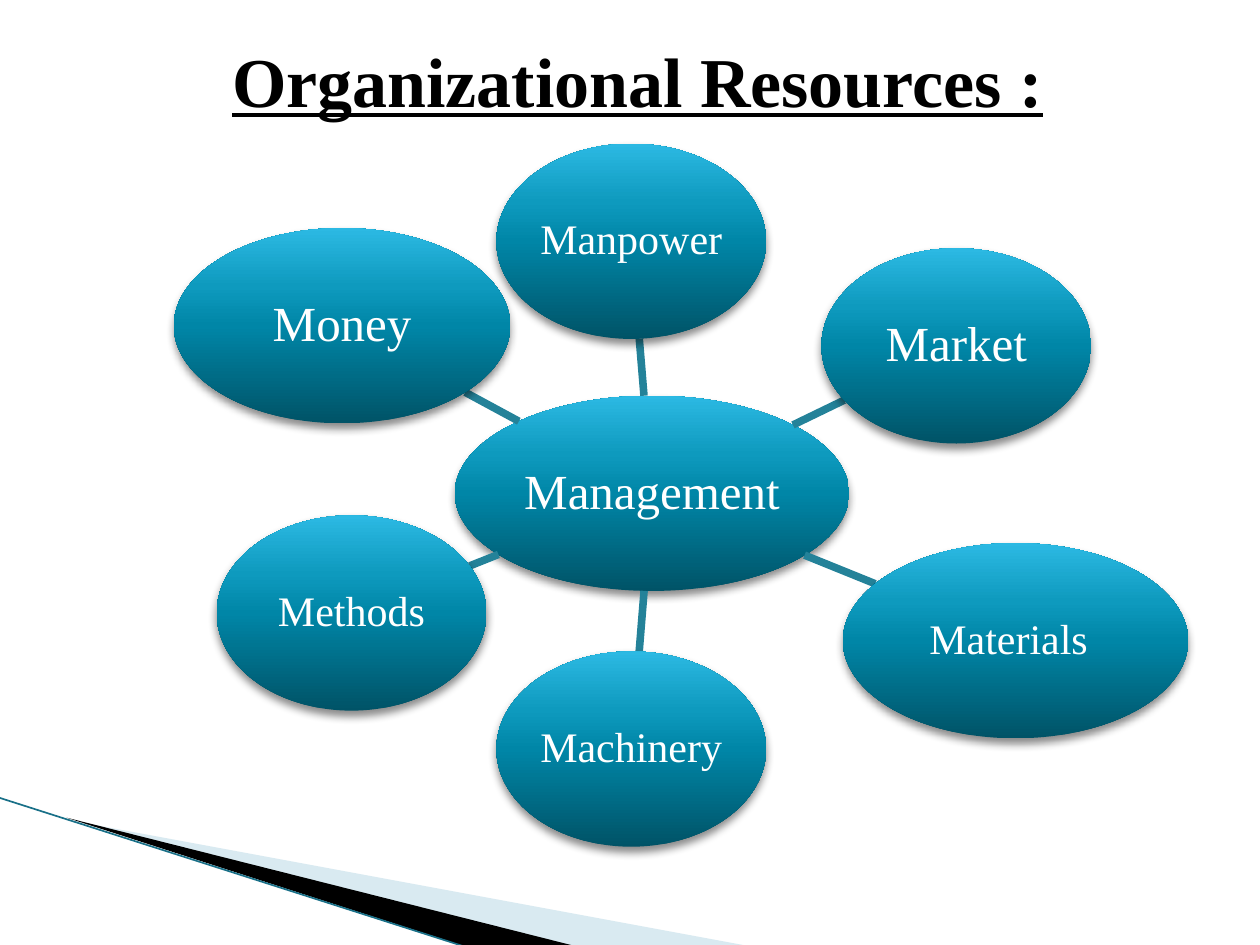
from math import hypot

from lxml.etree import SubElement
from pptx import Presentation
from pptx.dml.color import RGBColor
from pptx.enum.shapes import MSO_CONNECTOR, MSO_SHAPE
from pptx.enum.text import MSO_ANCHOR, PP_ALIGN
from pptx.oxml.ns import qn
from pptx.util import Inches, Pt

BLACK = RGBColor(0x00, 0x00, 0x00)
WHITE = RGBColor(0xFF, 0xFF, 0xFF)
SPOKE = RGBColor(0x24, 0x82, 0x99)
PALE = RGBColor(0xA0, 0xCB, 0xDC)
EDGE = RGBColor(0x19, 0x70, 0x88)
GRADIENT = [
    (0, RGBColor(0x00, 0x53, 0x67)),
    (50, RGBColor(0x00, 0x86, 0xA7)),
    (70, RGBColor(0x0E, 0x9A, 0xBE)),
    (100, RGBColor(0x2C, 0xB9, 0xE3)),
]
FONT = "Times New Roman"
COLUMNS, ROWS = 100, 75
OVAL_HEIGHT = 15.5
HUB = ("Management", 51.75, 39.15, 31.3, 28)
RESOURCES = [
    ("Manpower", 50.1, 19.15, 21.4, 24),
    ("Market", 75.9, 27.45, 21.4, 28),
    ("Materials", 80.6, 50.85, 27.4, 24),
    ("Machinery", 50.1, 59.45, 21.4, 24),
    ("Methods", 27.9, 48.65, 21.4, 24),
    ("Money", 27.15, 25.85, 26.7, 28),
]


def add_text(para, text, size, color=WHITE, font=FONT, bold=False, underline=False):
    span = para.add_run()
    span.text = text
    span.font.name = font
    span.font.size = Pt(size)
    span.font.color.rgb = color
    span.font.bold = bold
    span.font.underline = underline
    return span


def oval_edge(start, target):
    x, y, width = start[1:4]
    across, down = target[1] - x, target[2] - y
    share = 1 / hypot(across / (width / 2), down / (OVAL_HEIGHT / 2))
    return x + across * share, y + down * share


class Diagram:
    def __init__(self, deck):
        self.page = deck.slides.add_slide(deck.slide_layouts[6])
        self.column = deck.slide_width / COLUMNS
        self.row = deck.slide_height / ROWS

    def place(self, x, y):
        return round(x * self.column), round(y * self.row)

    def title(self, text):
        box = self.page.shapes.add_textbox(*self.place(5, 2.5), *self.place(90, 63.2))
        box.text_frame.word_wrap = True
        para = box.text_frame.paragraphs[0]
        para.alignment = PP_ALIGN.CENTER
        para.space_before = Pt(4)
        properties = para._p.get_or_add_pPr()
        properties.set("marL", str(Inches(0.4)))
        properties.set("indent", str(Inches(-0.28)))
        add_text(para, text, 40, color=BLACK, bold=True, underline=True)

    def wedge(self, points, color, opacity=100):
        start, *others = [self.place(*point) for point in points]
        builder = self.page.shapes.build_freeform(*start)
        builder.add_line_segments(others, close=True)
        shape = builder.convert_to_shape()
        shape.shadow.inherit = False
        shape.fill.solid()
        shape.fill.fore_color.rgb = color
        shape.line.fill.background()
        if opacity < 100:
            tint = shape._element.spPr.find(qn("a:solidFill"))[0]
            SubElement(tint, qn("a:alpha"), val=str(opacity * 1000))

    def line(self, start, end, color, width):
        line = self.page.shapes.add_connector(
            MSO_CONNECTOR.STRAIGHT, *self.place(*start), *self.place(*end))
        line.line.color.rgb = color
        line.line.width = Pt(width)
        SubElement(line._element.spPr, qn("a:effectLst"))

    def spoke(self, hub, resource):
        self.line(oval_edge(hub, resource), oval_edge(resource, hub), SPOKE, 4.33)

    def oval(self, text, x, y, width, size):
        shape = self.page.shapes.add_shape(
            MSO_SHAPE.OVAL,
            *self.place(x - width / 2, y - OVAL_HEIGHT / 2),
            *self.place(width, OVAL_HEIGHT))
        shape.line.fill.background()
        self.shade(shape)
        self.cast_shadow(shape)
        frame = shape.text_frame
        frame.word_wrap = True
        frame.vertical_anchor = MSO_ANCHOR.MIDDLE
        frame.margin_left = frame.margin_right = Inches(0.02)
        frame.margin_top = frame.margin_bottom = Inches(0.02)
        para = frame.paragraphs[0]
        para.alignment = PP_ALIGN.CENTER
        para.line_spacing = 0.9
        add_text(para, text, size)
        return para

    def shade(self, shape):
        shape.fill.gradient()
        shape.fill.gradient_angle = 90
        stops = shape._element.spPr.find(qn("a:gradFill")).find(qn("a:gsLst"))
        for stop in list(stops):
            stops.remove(stop)
        for position, color in GRADIENT:
            stop = SubElement(stops, qn("a:gs"), pos=str(position * 1000))
            SubElement(stop, qn("a:srgbClr"), val=str(color))

    def cast_shadow(self, shape):
        shape.shadow.inherit = False
        effects = shape._element.spPr.find(qn("a:effectLst"))
        shadow = SubElement(
            effects, qn("a:outerShdw"), blurRad=str(Pt(5)), dist=str(Pt(3)),
            dir="5400000", rotWithShape="0")
        tint = SubElement(shadow, qn("a:srgbClr"), val=str(BLACK))
        SubElement(tint, qn("a:alpha"), val="45000")


def main():
    deck = Presentation()
    deck.slide_width, deck.slide_height = Inches(10), Inches(7.5)
    diagram = Diagram(deck)
    diagram.wedge([(5.5, 65.1), (59.5, 75.1), (45.6, 75.1)], PALE, opacity=40)
    diagram.wedge([(5.3, 64.9), (45.7, 75.1), (37.2, 75.2)], BLACK)
    diagram.line((-0.1, 63.3), (37.1, 75.2), EDGE, 0.95)
    diagram.title("Organizational Resources :")
    diagram.oval(*HUB)
    for resource in RESOURCES:
        diagram.spoke(HUB, resource)
        para = diagram.oval(*resource)
        if resource[0] == "Materials":
            add_text(para, " ", 13, font="Courier New")
    deck.save("out.pptx")


if __name__ == "__main__":
    main()
